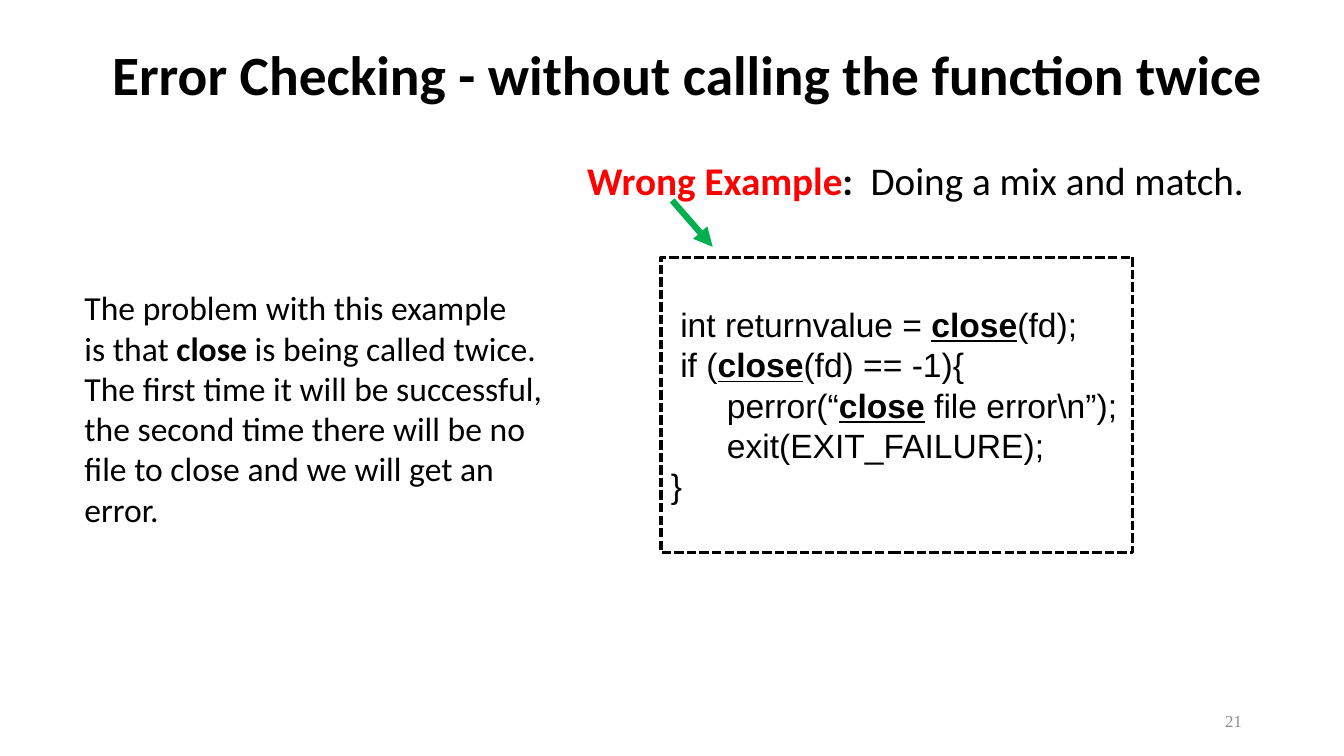
from lxml import etree
from pptx import Presentation
from pptx import util as u
from pptx.dml.color import RGBColor
from pptx.enum import dml, shapes, text
from pptx.oxml import ns

COLORS = {"ink": "000000", "wrong": "FF0000", "arrow": "00B050", "number": "8C8C8C"}


def rgb(name):
    return RGBColor.from_string(COLORS[name])


class SlideBuilder:
    """Holds the deck's style and the current slide."""

    body_font = "Calibri"
    code_font = "Arial"

    def __init__(self, deck):
        self.slide = deck.slides.add_slide(deck.slide_layouts[5])

    def style(self, paragraph, size, font=None, color="ink", bold=None):
        paragraph.font.size = u.Pt(size)
        paragraph.font.name = font or self.body_font
        paragraph.font.color.rgb = rgb(color)
        paragraph.font.bold = bold

    def lines(self, frame, lines, size, font=None, color="ink", keyword=None, underline=None):
        """Write one paragraph per line, with each keyword in bold."""
        for i, line in enumerate(lines):
            paragraph = frame.paragraphs[0] if i == 0 else frame.add_paragraph()
            paragraph.alignment = text.PP_ALIGN.LEFT
            self.style(paragraph, size, font, color)
            before, found, after = line.partition(keyword) if keyword else (line, "", "")
            for part in filter(None, (before, found, after)):
                run = paragraph.add_run()
                run.text = part
                if part == keyword:
                    run.font.bold = True
                    run.font.underline = underline

    def title(self, words, left, top, width, height):
        title = self.slide.shapes.title
        title.left, title.top, title.width, title.height = map(u.Cm, (left, top, width, height))
        frame = title.text_frame
        frame.text = words
        frame.auto_size = text.MSO_AUTO_SIZE.NONE
        frame.vertical_anchor = text.MSO_ANCHOR.MIDDLE
        paragraph = frame.paragraphs[0]
        paragraph.alignment = text.PP_ALIGN.LEFT
        paragraph.line_spacing = 0.9
        self.style(paragraph, 39.6, bold=True)

    def textbox(self, left, top, width, height, wrap=True):
        box = self.slide.shapes.add_textbox(*map(u.Cm, (left, top, width, height)))
        box.text_frame.word_wrap = wrap
        return box.text_frame

    def code_box(self, code, keyword, left, top, width, height):
        box = self.slide.shapes.add_shape(
            shapes.MSO_SHAPE.RECTANGLE, *map(u.Cm, (left, top, width, height)))
        box.shadow.inherit = False
        box.fill.background()
        box.line.color.rgb = rgb("ink")
        box.line.width = u.Pt(2.25)
        box.line.dash_style = dml.MSO_LINE.SQUARE_DOT
        box.text_frame.vertical_anchor = text.MSO_ANCHOR.MIDDLE
        self.lines(box.text_frame, code, 24, self.code_font, keyword=keyword, underline=True)

    def arrow(self, *ends):
        arrow = self.slide.shapes.add_connector(
            shapes.MSO_CONNECTOR.STRAIGHT, *map(u.Cm, ends))
        arrow.line.color.rgb = rgb("arrow")
        arrow.line.width = u.Pt(4.5)
        etree.SubElement(arrow.line._get_or_add_ln(), ns.qn("a:tailEnd"), type="triangle")
        etree.SubElement(arrow._element.spPr, ns.qn("a:effectLst"))


def main():
    deck = Presentation()
    deck.slide_width, deck.slide_height = u.Cm(33.87), u.Cm(19.05)
    page = SlideBuilder(deck)

    # Title
    page.title("Error Checking - without calling the function twice", 2.57, 0.69, 30.05, 2.54)

    # Slide number
    number = page.textbox(23.93, 17.65, 7.62, 1.02)
    number.vertical_anchor = text.MSO_ANCHOR.MIDDLE
    page.lines(number, ["21"], 12, "Times New Roman", "number")
    number.paragraphs[0].alignment = text.PP_ALIGN.RIGHT

    # Faulty code
    page.code_box([
        " int returnvalue = close(fd);",
        " if (close(fd) == -1){",
        "      perror(“close file error\\n”);",
        "      exit(EXIT_FAILURE);",
        "}",
    ], "close", 16.66, 6.48, 11.89, 7.44)

    # Example heading, with a tab stop after the label
    heading = page.textbox(14.55, 3.81, 18.8, 1.45).paragraphs[0]
    tabs = etree.SubElement(heading._p.get_or_add_pPr(), ns.qn("a:tabLst"))
    etree.SubElement(tabs, ns.qn("a:tab"), pos=str(u.Cm(7.14)), algn="l")
    page.style(heading, 28)
    for words, color, bold in (("Wrong Example", "wrong", True), (":", "ink", True),
                               ("\tDoing a mix and match.", "ink", False)):
        run = heading.add_run()
        run.text = words
        run.font.color.rgb = rgb(color)
        run.font.bold = bold

    # Explanation
    explanation = page.textbox(1.88, 7.11, 12.17, 6.4, wrap=False)
    page.lines(explanation, [
        "The problem with this example",
        "is that close is being called twice.",
        "The first time it will be successful,",
        "the second time there will be no",
        "file to close and we will get an",
        "error.",
    ], 24, keyword=None)
    emphasised = explanation.paragraphs[1]
    emphasised.clear()
    for words in ("is that ", "close", " is being called twice."):
        run = emphasised.add_run()
        run.text = words
        run.font.bold = words == "close"

    # Arrow from heading to code
    page.arrow(16.94, 5.05, 17.96, 6.22)

    deck.save("out.pptx")


if __name__ == "__main__":
    main()
